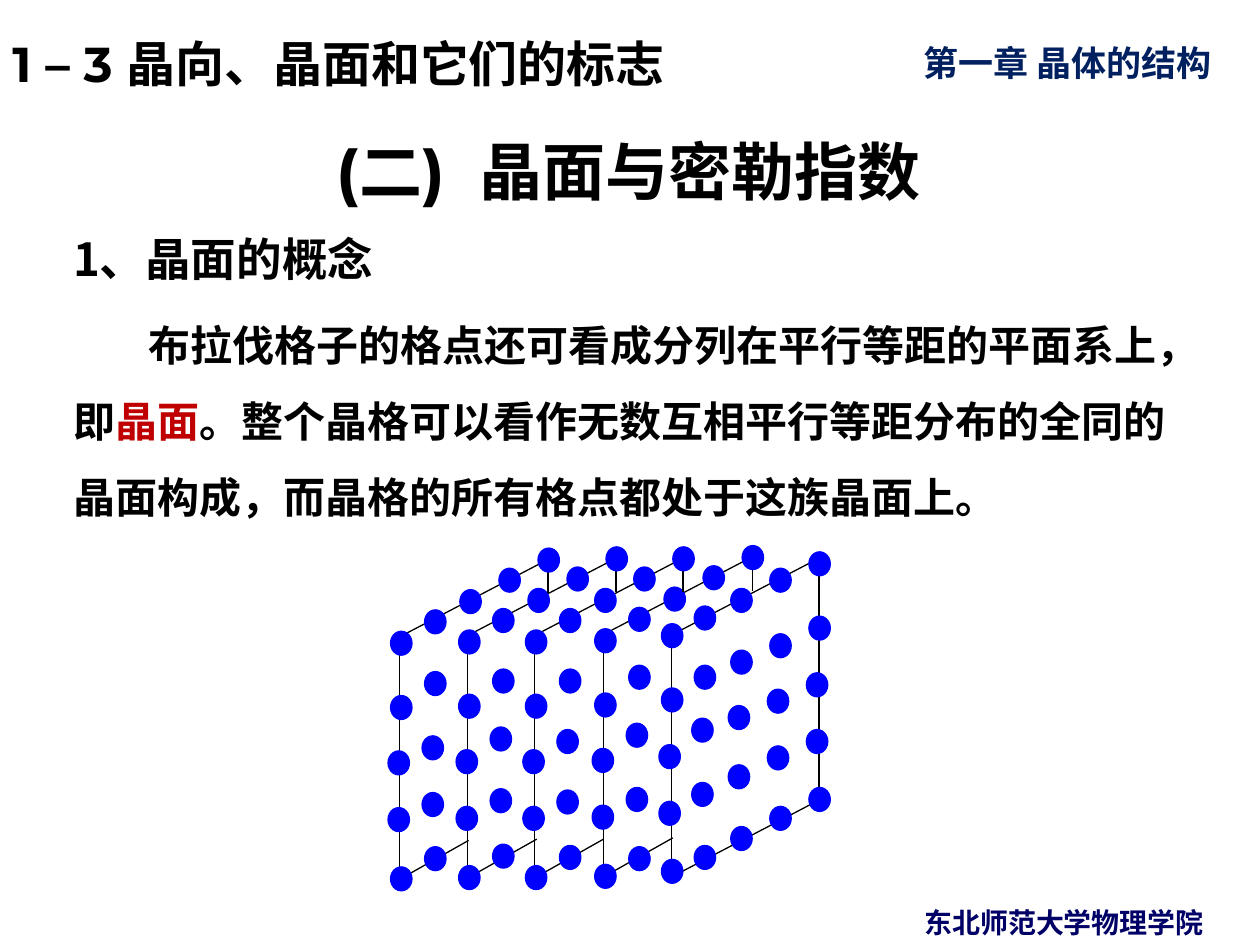
import pptx
import pptx.dml.color
import pptx.enum.lang
import pptx.enum.shapes
import pptx.enum.text
import pptx.oxml.ns
import pptx.util
from lxml import etree
from pptx.util import Inches, Pt

LATIN_FONT = "Montserrat"
CHINESE_FONT = "Noto Sans CJK SC"
BLACK = "000000"
DOT_BLUE = "0000FF"
DOT_WIDTH, DOT_HEIGHT = 0.17, 0.19
ALIGN = pptx.enum.text.PP_ALIGN
ANCHOR = pptx.enum.text.MSO_ANCHOR

FRONT_COLUMNS = (0, 0.26, 0.55, 0.86, 1.17)
FRONT_ROWS = (
    (0, (0, -0.14, -0.28, -0.44, -0.57)),
    (0, (0.51, 0.33, 0.21, 0.08, -0.06)),
    (-0.02, (0.96, 0.75, 0.65, 0.52, 0.39)),
    (-0.02, (1.41, 1.26, 1.12, 0.97, 0.84)),
    (0, (1.87, 1.76, 1.61, 1.45, 1.3)),
)
FRONT_EDGES = (
    ((1.25, -0.52), (0.08, 0.09)),
    ((0.08, 0.09), (0.08, 2.01)),
    ((1.25, -0.52), (1.25, 1.4)),
    ((1.25, 1.4), (0.08, 2.01)),
)
HIDDEN_DOTS = (
    (0, 0), (0, 0.51), (-0.02, 0.95), (-0.02, 1.4), (0, 1.87),
    (0.27, -0.17), (0.55, -0.33), (0.86, -0.5), (1.17, -0.66),
)
HIDDEN_EDGES = (
    ((1.25, -0.57), (0.08, 0.04)),
    ((0.07, 0.08), (0.07, 2)),
    ((1.25, -0.57), (1.25, -0.3)),
    ((0.07, 1.97), (0.62, 1.66)),
)
HIDDEN_PLANES = (
    (1.62, 0.66, (0.29, 0.75, 1.26, 1.73)),
    (1.07, 0.67, (0.31, 0.79, 1.27, 1.71)),
    (0.54, 0.67, (0.31, 0.77, 1.26, 1.7)),
    (0, 0.68, (0.32, 0.83, 1.28, 1.71)),
)


def hex_color(value):
    """Return the RGB colour for a hex string."""
    return pptx.dml.color.RGBColor.from_string(value)


def format_run(run, size, color, font=CHINESE_FONT):
    """Apply bold type with Latin and Chinese fonts to a run."""
    run.font.size = Pt(size)
    run.font.bold = True
    run.font.name = font
    run.font.language_id = pptx.enum.lang.MSO_LANGUAGE_ID.SIMPLIFIED_CHINESE
    run.font.color.rgb = hex_color(color)
    latin = run.font._element.find(pptx.oxml.ns.qn("a:latin"))
    east_asian = etree.Element(pptx.oxml.ns.qn("a:ea"), typeface=CHINESE_FONT)
    latin.addnext(east_asian)


def set_box(shape, box):
    """Move a shape to a left, top, width, height box."""
    shape.left, shape.top, shape.width, shape.height = map(Inches, box)


def add_label(slide, box, text, size, color, font=LATIN_FONT,
              align=ALIGN.LEFT, anchor=ANCHOR.TOP, line_spacing=1.0):
    """Add a single-line running label."""
    shape = slide.shapes.add_textbox(*map(Inches, box))
    frame = shape.text_frame
    frame.word_wrap = True
    frame.vertical_anchor = anchor
    frame.text = text
    paragraph = frame.paragraphs[0]
    paragraph.alignment = align
    paragraph.line_spacing = line_spacing
    format_run(paragraph.runs[0], size, color, font)


def fill_title(shape, box):
    """Place and format the slide title."""
    set_box(shape, box)
    frame = shape.text_frame
    frame.auto_size = pptx.enum.text.MSO_AUTO_SIZE.NONE
    frame.word_wrap = True
    frame.vertical_anchor = ANCHOR.BOTTOM
    paragraph = frame.paragraphs[0]
    paragraph.alignment = ALIGN.CENTER
    paragraph.line_spacing = 0.9
    for text in ("(二)", " ", "晶面与密勒指数"):
        run = paragraph.add_run()
        run.text = text
        format_run(run, 36, BLACK, LATIN_FONT)
    paragraph.runs[1].font._element.set("spc", "1000")


def format_body_paragraph(paragraph, line_spacing, space_before, indent):
    """Remove the bullet and set spacing and first-line indent."""
    properties = paragraph._p.get_or_add_pPr()
    properties.set("marL", "0")
    properties.set("indent", str(Inches(indent)))
    etree.SubElement(properties, pptx.oxml.ns.qn("a:buNone"))
    paragraph.alignment = ALIGN.LEFT
    paragraph.line_spacing = line_spacing
    paragraph.space_before = Pt(space_before)


def fill_body(shape, box):
    """Place the body with its heading and explanation."""
    set_box(shape, box)
    frame = shape.text_frame
    frame.auto_size = pptx.enum.text.MSO_AUTO_SIZE.NONE
    frame.word_wrap = True
    frame.vertical_anchor = ANCHOR.TOP
    frame.text = "1、晶面的概念"
    heading = frame.paragraphs[0]
    format_body_paragraph(heading, 0.9, 0, 0)
    format_run(heading.runs[0], 26, BLACK)
    explanation = frame.add_paragraph()
    format_body_paragraph(explanation, 1.5, 5, 0.6)
    for text, color in (
        ("布拉伐格子的格点还可看成分列在平行等距的平面系上，即", BLACK),
        ("晶面", "C00000"),
        ("。整个晶格可以看作无数互相平行等距分布的全同的晶面构成，"
         "而晶格的所有格点都处于这族晶面上。", BLACK),
    ):
        run = explanation.add_run()
        run.text = text
        format_run(run, 24, color)


def add_plane(slide, left, top, edges, dots):
    """Add one lattice plane as a group of edges and lattice points."""
    group = slide.shapes.add_group_shape()
    for (start_x, start_y), (end_x, end_y) in edges:
        edge = group.shapes.add_connector(
            pptx.enum.shapes.MSO_CONNECTOR.STRAIGHT,
            Inches(left + start_x), Inches(top + start_y),
            Inches(left + end_x), Inches(top + end_y))
        edge.line.color.rgb = hex_color(BLACK)
        edge.line.width = Pt(0.75)
        etree.SubElement(edge._element.spPr, pptx.oxml.ns.qn("a:effectLst"))
    for x, y in dots:
        dot = group.shapes.add_shape(
            pptx.enum.shapes.MSO_SHAPE.OVAL, Inches(left + x),
            Inches(top + y), Inches(DOT_WIDTH), Inches(DOT_HEIGHT))
        dot.shadow.inherit = False
        dot.fill.solid()
        dot.fill.fore_color.rgb = hex_color(DOT_BLUE)
        dot.line.color.rgb = hex_color(DOT_BLUE)
        dot.line.width = Pt(0.75)


def add_lattice(slide, left, top):
    """Add the front plane and the four parallel planes behind it."""
    front_dots = [(x + shift, y) for shift, heights in FRONT_ROWS
                  for x, y in zip(FRONT_COLUMNS, heights)]
    add_plane(slide, left + 2.15, top + 0.62, FRONT_EDGES, front_dots)
    for x, y, inner_heights in HIDDEN_PLANES:
        inner_dots = tuple(zip((0.27, 0.25, 0.25, 0.27), inner_heights))
        add_plane(slide, left + x, top + y, HIDDEN_EDGES,
                  HIDDEN_DOTS + inner_dots)


def main():
    """Build and save the slide."""
    presentation = pptx.Presentation()
    presentation.slide_width = Inches(10)
    presentation.slide_height = Inches(7.5)
    slide = presentation.slides.add_slide(presentation.slide_layouts[1])
    add_label(slide, (7.23, 0.28, 2.83, 0.43), "第一章 晶体的结构", 20, "002060")
    add_label(slide, (0, 0.12, 8.17, 0.64), "1 – 3 晶向、晶面和它们的标志", 28,
              BLACK, anchor=ANCHOR.MIDDLE, line_spacing=1.25)
    add_label(slide, (6.89, 7.14, 3.11, 0.37), "东北师范大学物理学院", 16,
              "000066", font=CHINESE_FONT, align=ALIGN.CENTER)
    fill_title(slide.shapes.title, (0.48, 0.84, 9.02, 0.87))
    fill_body(slide.placeholders[1], (0.48, 1.83, 9.02, 2.5))
    add_lattice(slide, 3.1, 4.33)
    presentation.save("out.pptx")


if __name__ == "__main__":
    main()
